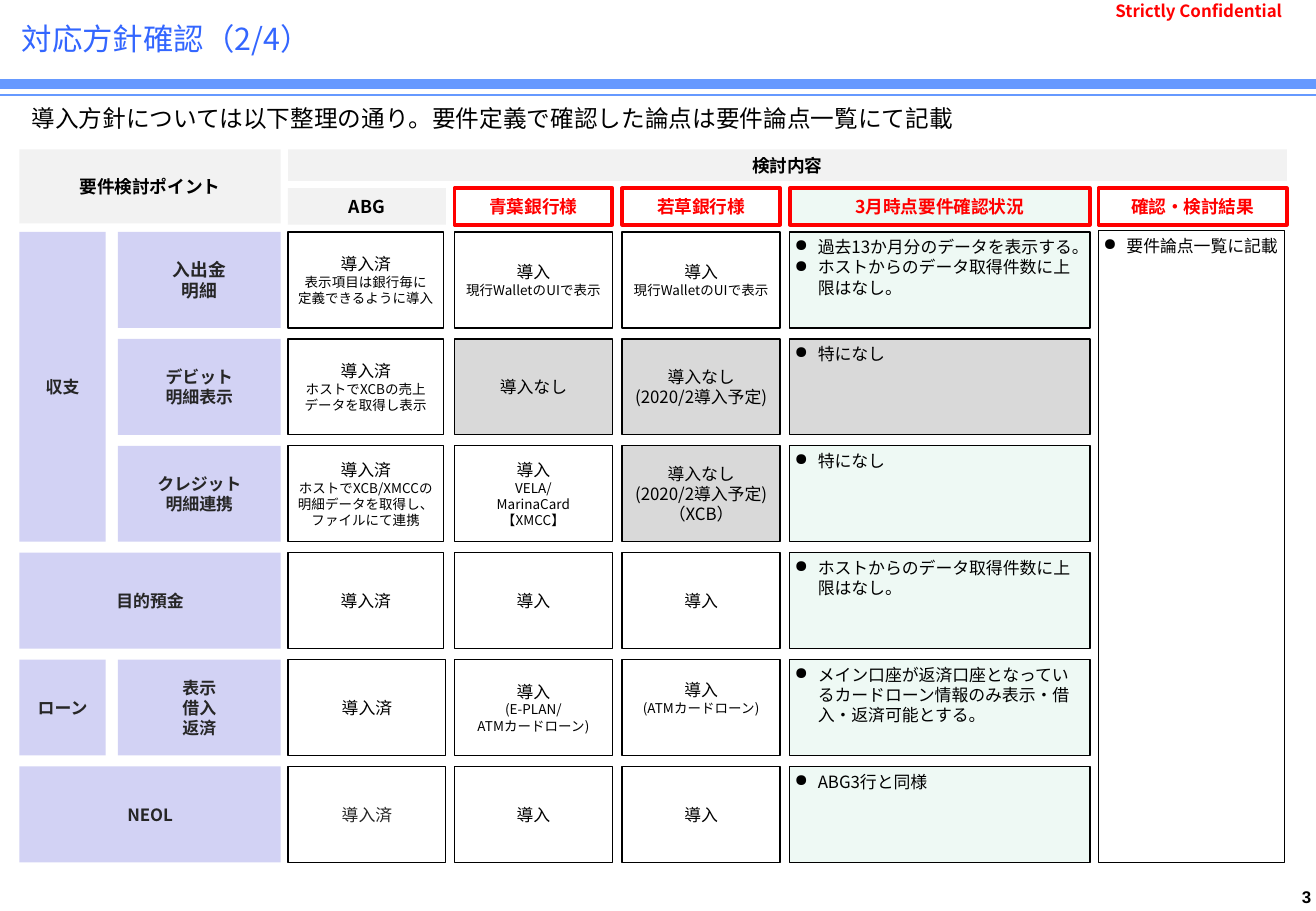
from lxml.etree import SubElement
from pptx import Presentation
from pptx.dml.color import RGBColor as RGB
from pptx.enum.shapes import MSO_CONNECTOR as LINK, MSO_SHAPE as SHAPE
from pptx.enum.text import MSO_ANCHOR as ANCHOR, PP_ALIGN as ALIGN
from pptx.oxml.ns import qn
from pptx.util import Inches, Pt

FONT = "Noto Sans CJK JP"
HUE = dict(black="000000", dark="262626", red="FF0000", white="FFFFFF",
           title="3366FF", rule="6699FF", label="D2D2F4", head="F2F2F2",
           mint="EEF9F4", gray="D9D9D9")

# Column name: (left, width), measured from the left edge of the grid
COLS = dict(point=(0, 2.15), group=(0, 0.71), item=(0.81, 1.34),
            lead=(2.21, 1.3), east=(3.58, 1.3), west=(4.96, 1.3),
            status=(6.34, 2.47), result=(8.88, 1.55))
STEP, HIGH = 0.88, 0.79

# Column, first row, rows covered, text, size
LABELS = [("group", 0, 3, "収支", 10), ("item", 0, 1, "入出金\n明細", 10.5),
          ("item", 1, 1, "デビット\n明細表示", 10),
          ("item", 2, 1, "クレジット\n明細連携", 10),
          ("point", 3, 1, "目的預金", 10), ("group", 4, 1, "ローン", 10),
          ("item", 4, 1, "表示\n借入\n返済", 10), ("point", 5, 1, "NEOL", 10)]

# Main text, small text, fill
PLANS = dict(
    lead=[("導入済", "表示項目は銀行毎に\n定義できるように導入", None),
          ("導入済", "ホストでXCBの売上データを取得し表示", None),
          ("導入済", "ホストでXCB/XMCCの明細データを取得し、ファイルにて連携", None),
          ("導入済", "", None), ("導入済", "", None), ("導入済", "", None)],
    east=[("導入", "現行WalletのUIで表示", None), ("導入なし", "", "gray"),
          ("導入", "VELA/\nMarinaCard\n【XMCC】", None), ("導入", "", None),
          ("導入", "(E-PLAN/\nATMカードローン)", None), ("導入", "", None)],
    west=[("導入", "現行WalletのUIで表示", None),
          ("導入なし\n(2020/2導入予定)", "", "gray"),
          ("導入なし\n(2020/2導入予定)\n（XCB）", "", "gray"),
          ("導入", "", None), ("導入", "(ATMカードローン)", None),
          ("導入", "", None)])

STATUS = [("過去13か月分のデータを表示する。\nホストからのデータ取得件数に上限はなし。", "mint"),
          ("特になし", "gray"), ("特になし", "mint"),
          ("ホストからのデータ取得件数に上限はなし。", "mint"),
          ("メイン口座が返済口座となっているカードローン情報のみ表示・借入・返済可能とする。", "mint"),
          ("ABG3行と同様", "mint")]


def color(name):
    return RGB.from_string(HUE[name])


def style(para, size, hue="black", bold=False, face=FONT):
    para.line_spacing = Pt(size * 1.2)
    font = para.font
    font.size, font.bold, font.name = Pt(size), bold, face
    font.color.rgb = color(hue)
    base = para._p.pPr.find(qn("a:defRPr"))
    SubElement(base, qn("a:ea")).set("typeface", face)


def bullet(para):
    props = para._p.get_or_add_pPr()
    props.set("marL", str(Inches(0.19)))
    props.set("indent", str(-Inches(0.19)))
    tint = SubElement(props, qn("a:buClr"))
    SubElement(tint, qn("a:srgbClr")).set("val", HUE["black"])
    SubElement(props, qn("a:buChar")).set("char", "●")


def write(frame, text, size=10, small="", hue="black", bold=False,
          align=ALIGN.CENTER, dots=False, face=FONT):
    rows = [(row, size) for row in text.split("\n")]
    rows += [(row, 8) for row in small.split("\n") if row]
    for i, (row, points) in enumerate(rows):
        para = frame.add_paragraph() if i else frame.paragraphs[0]
        para.text, para.alignment = row, align
        if dots:
            bullet(para)
        style(para, points, hue, bold, face)


def inset(frame, side=0.04, edge=0.04):
    frame.margin_left = frame.margin_right = Inches(side)
    frame.margin_top = frame.margin_bottom = Inches(edge)


def block(slide, area, text, fill=None, line=None, weight=0.75, wrap=True,
          anchor=ANCHOR.MIDDLE, **look):
    """Add a rectangle with text; area is left, top, width, height."""
    shape = slide.shapes.add_shape(SHAPE.RECTANGLE, *map(Inches, area))
    shape.shadow.inherit = False
    if fill:
        shape.fill.solid()
        shape.fill.fore_color.rgb = color(fill)
    else:
        shape.fill.background()
    if line:
        shape.line.color.rgb = color(line)
        shape.line.width = Pt(weight)
    else:
        shape.line.fill.background()
    frame = shape.text_frame
    frame.word_wrap, frame.vertical_anchor = wrap, anchor
    inset(frame)
    write(frame, text, **look)
    return frame


def note(slide, area, text, **look):
    frame = slide.shapes.add_textbox(*map(Inches, area)).text_frame
    inset(frame)
    write(frame, text, bold=True, **look)
    return frame


def banner(slide, left, top, width):
    """Place the title, rules, confidentiality mark and lead sentence."""
    title = slide.shapes.title
    title.left, title.top = Inches(left + 0.08), Inches(top + 0.06)
    title.width, title.height = Inches(10.38), Inches(0.51)
    title.text_frame.vertical_anchor = ANCHOR.MIDDLE
    write(title.text_frame, "対応方針確認（2/4）", 18, hue="title", align=ALIGN.LEFT)
    for y, weight in ((0.69, 6), (0.78, 1)):
        rule = slide.shapes.add_connector(
            LINK.STRAIGHT, Inches(left), Inches(top + y),
            Inches(left + width), Inches(top + y))
        rule.line.color.rgb, rule.line.width = color("rule"), Pt(weight)
        SubElement(rule._element.spPr, qn("a:effectLst"))
    mark = note(slide, (left + 9.1, top + 0.04, 1.76, 0.1),
                "Strictly Confidential", hue="red", align=ALIGN.LEFT)
    inset(mark, side=0.08)
    mark.word_wrap, mark.vertical_anchor = True, ANCHOR.MIDDLE
    lead = block(slide, (left + 0.16, top + 0.81, 9.55, 0.37),
                 "導入方針については以下整理の通り。要件定義で確認した論点は要件論点一覧にて記載",
                 anchor=ANCHOR.TOP, size=14, align=ALIGN.LEFT)
    inset(lead, side=0.1, edge=0.05)


def header(slide, left, top):
    look = dict(size=10.5, bold=True)
    block(slide, (left, top, 2.15, 0.61), "要件検討ポイント", "head",
          wrap=False, **look)
    block(slide, (left + 2.21, top, 8.22, 0.26), "検討内容", "head",
          wrap=False, **look)
    for col, text, fill in (("lead", "ABG", "head"), ("east", "青葉銀行様", "white"),
                            ("west", "若草銀行様", "white"),
                            ("status", "3月時点要件確認状況", "mint"),
                            ("result", "確認・検討結果", "white")):
        x, width = COLS[col]
        edge = None if col == "lead" else "red"
        block(slide, (left + x, top + 0.32, width, 0.3), text, fill, edge,
              2.25, hue=edge or "black", **look)


def labels(slide, left, top):
    for col, row, span, text, size in LABELS:
        x, width = COLS[col]
        block(slide, (left + x, top + row * STEP, width, (span - 1) * STEP + HIGH),
              text, "label", wrap=False, size=size, hue="dark", bold=True)


def plans(slide, left, top):
    for col, cells in PLANS.items():
        x, width = COLS[col]
        for row, (text, small, fill) in enumerate(cells):
            wide = 1.28 if col == "lead" and row < 4 else width
            hue = "dark" if col == "lead" and row == 5 else "black"
            frame = block(slide, (left + x, top + row * STEP, wide, HIGH),
                          text, fill, "black", small=small, hue=hue)
            if (col, row) == ("west", 4):
                frame.margin_bottom = Inches(0.2)


def findings(slide, left, top):
    look = dict(line="black", anchor=ANCHOR.TOP, align=ALIGN.LEFT, dots=True)
    x, width = COLS["status"]
    for row, (text, fill) in enumerate(STATUS):
        block(slide, (left + x, top + row * STEP, width, HIGH), text, fill, **look)
    block(slide, (left + COLS["result"][0], top - 0.01, 1.53, 5.2),
          "要件論点一覧に記載", **look)


def main():
    deck = Presentation()
    deck.slide_width, deck.slide_height = Inches(10.83), Inches(7.5)
    slide = deck.slides.add_slide(deck.slide_layouts[5])
    banner(slide, 0, 0, 10.83)
    header(slide, 0.16, 1.23)
    for part in (labels, plans, findings):
        part(slide, 0.16, 1.91)
    page = note(slide, (10.51, 7.26, 0.32, 0.25), "3", align=ALIGN.RIGHT, face="Arial")
    page.word_wrap = True
    deck.save("out.pptx")


if __name__ == "__main__":
    main()
